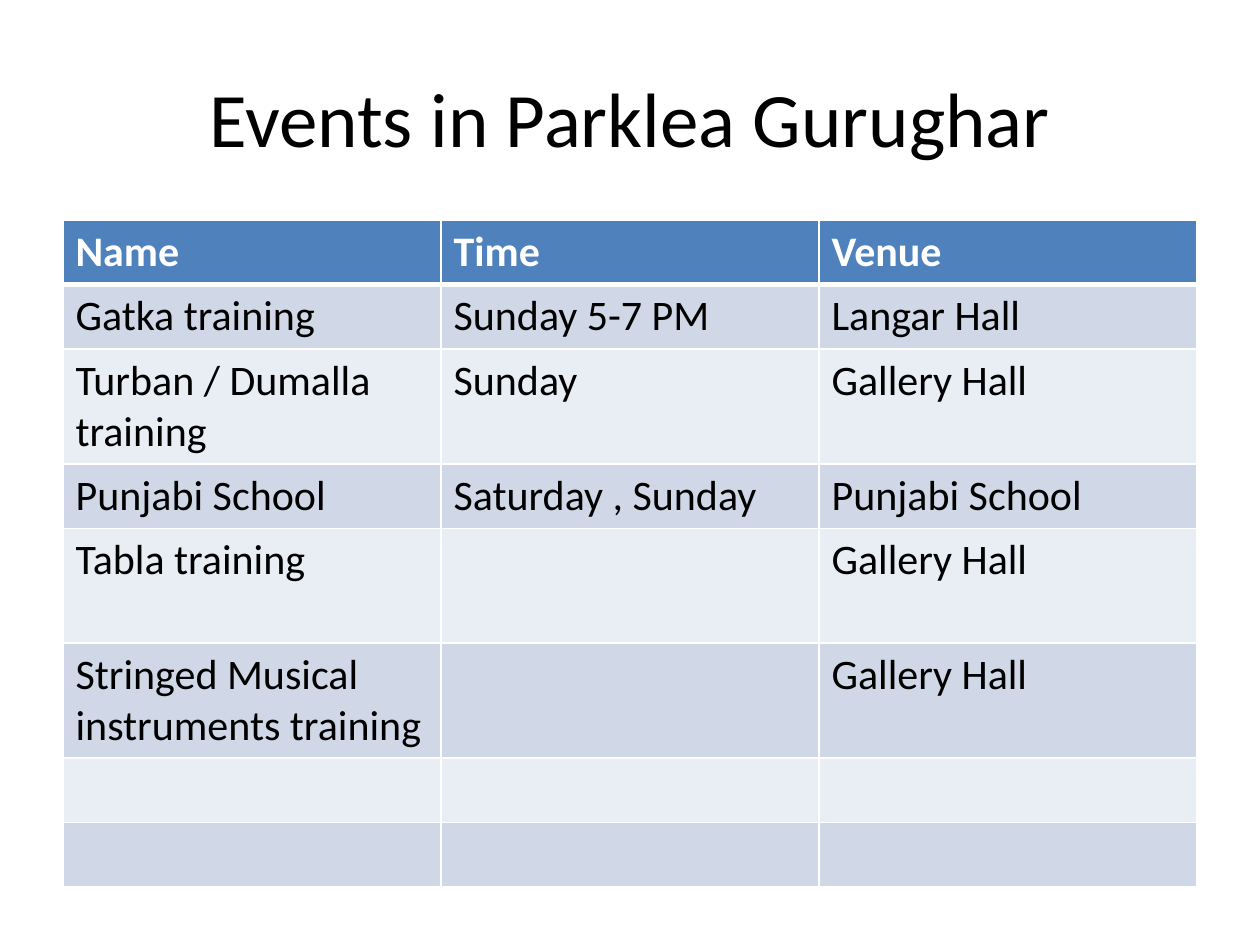
from pptx import Presentation
from pptx.dml.color import RGBColor
from pptx.enum.text import MSO_ANCHOR, PP_ALIGN
from pptx.oxml import parse_xml
from pptx.oxml.ns import nsdecls
from pptx.util import Inches, Pt

# Content
TITLE = "Events in Parklea Gurughar"
EVENTS = [
    ("Name", "Time", "Venue"),
    ("Gatka training", "Sunday 5-7 PM", "Langar Hall"),
    ("Turban / Dumalla training", "Sunday", "Gallery Hall"),
    ("Punjabi School", "Saturday , Sunday", "Punjabi School"),
    ("Tabla training", "", "Gallery Hall"),
    ("Stringed Musical instruments training", "", "Gallery Hall"),
    ("", "", ""),
    ("", "", ""),
]

# Layout and formats
COLUMN_WIDTH, ROW_HEIGHT, TALL_HEIGHT = 3, 0.51, 0.91
TALL_ROWS = {2, 4, 5}
HEADER_FILL, BAND_FILLS = "4F81BD", ("E9EDF4", "D0D8E8")
BORDER = "FFFFFF"
TITLE_FONT = {"name": "Calibri", "size": Pt(44), "bold": False}
HEADER_FONT = {"name": "Calibri", "size": Pt(24), "bold": True}
BODY_FONT = {**HEADER_FONT, "bold": False}


def set_font(font, values, color):
    for name, value in values.items():
        setattr(font, name, value)
    font.color.rgb = RGBColor.from_string(color)


def set_borders(cell, widths):
    properties = cell._tc.get_or_add_tcPr()
    for index, (side, width) in enumerate(widths.items()):
        properties.insert(index, parse_xml(
            f'<a:{side} {nsdecls("a")} w="{Pt(width)}"><a:solidFill>'
            f'<a:srgbClr val="{BORDER}"/></a:solidFill></a:{side}>'))


deck = Presentation()
deck.slide_width, deck.slide_height = Inches(10), Inches(7.5)
page = deck.slides.add_slide(deck.slide_layouts[5])

# Title
title = page.shapes.title
title.left, title.top, title.width, title.height = map(Inches, (0.5, 0.3, 9, 1.25))
title.text_frame.text = TITLE
title.text_frame.vertical_anchor = MSO_ANCHOR.MIDDLE
para = title.text_frame.paragraphs[0]
para.alignment = PP_ALIGN.CENTER
set_font(para.runs[0].font, TITLE_FONT, "000000")

# Events table
heights = [TALL_HEIGHT if row in TALL_ROWS else ROW_HEIGHT for row in range(len(EVENTS))]
columns = len(EVENTS[0])
table = page.shapes.add_table(
    len(EVENTS), columns, Inches(0.5), Inches(1.75),
    Inches(COLUMN_WIDTH * columns), Inches(sum(heights))).table
for column in table.columns:
    column.width = Inches(COLUMN_WIDTH)

for row, (texts, height) in enumerate(zip(EVENTS, heights)):
    table.rows[row].height = Inches(height)
    header = row == 0
    for column, text in enumerate(texts):
        cell = table.cell(row, column)
        cell.fill.solid()
        cell.fill.fore_color.rgb = RGBColor.from_string(
            HEADER_FILL if header else BAND_FILLS[row % 2])
        set_borders(cell, {"lnL": 1, "lnR": 1, "lnT": 3 if row == 1 else 1,
                           "lnB": 3 if header else 1})
        if text:
            cell.text = text
            set_font(cell.text_frame.paragraphs[0].runs[0].font,
                     HEADER_FONT if header else BODY_FONT,
                     "FFFFFF" if header else "000000")

deck.save("out.pptx")
